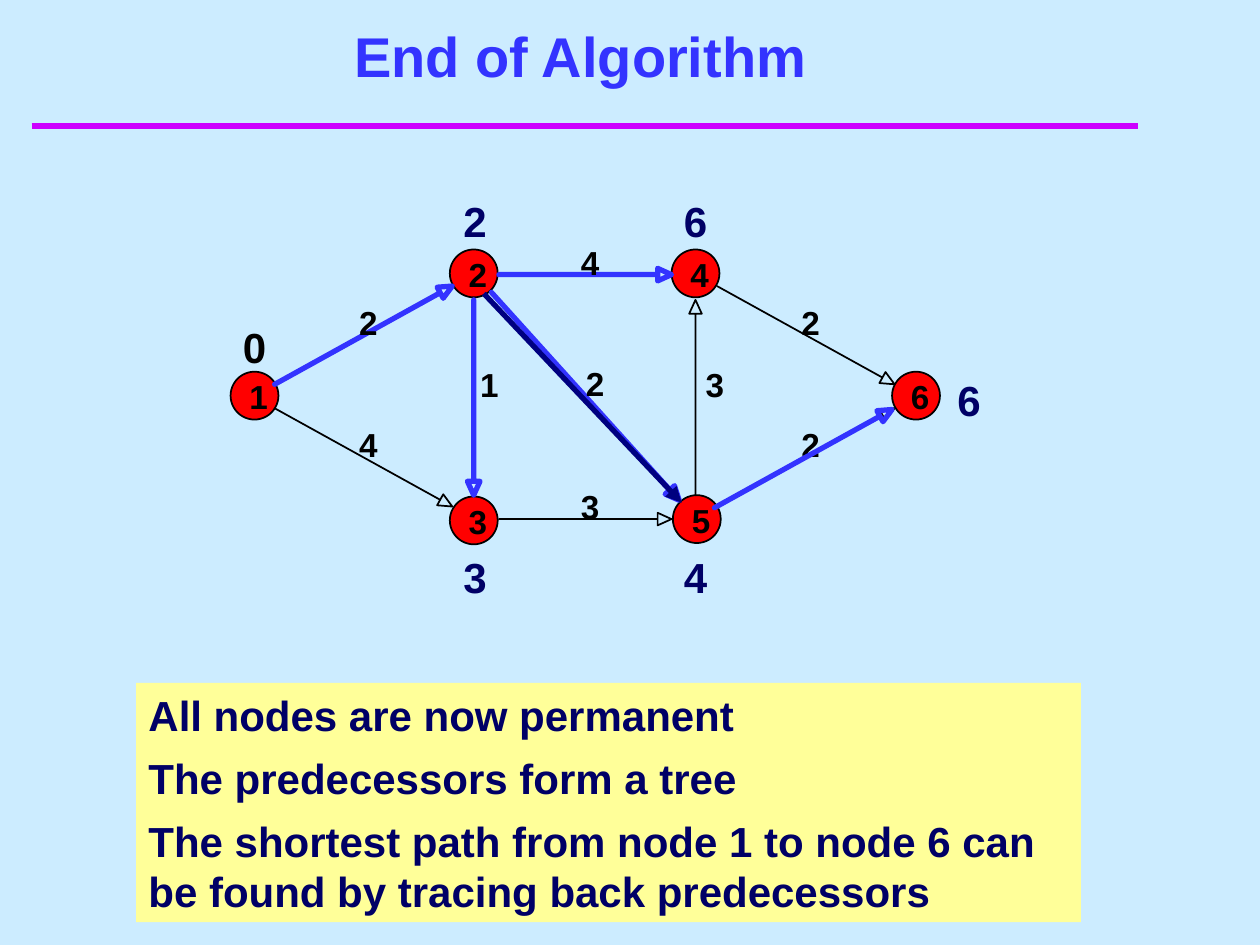
from math import hypot

from lxml.etree import SubElement
from pptx import Presentation
from pptx.dml.color import RGBColor
from pptx.enum.shapes import MSO_CONNECTOR as Link, MSO_SHAPE as Kind
from pptx.enum.text import MSO_ANCHOR as Anchor, PP_ALIGN as Align
from pptx.oxml.ns import qn
from pptx.util import Pt

PX = 9144  # 100 px to the inch
HEX = {
    "sky": "CCECFF", "blue": "3333FF", "pink": "CC00FF", "red": "FF0000",
    "black": "000000", "ink": "000066", "navy": "000080", "cream": "FFFF99",
}
DOT, HEAD, WING = 38, 11, 5

# number, centre, distance, distance place, distance colour
NODES = [
    ("1", (19, 164), "0", (0, 100), "black"),
    ("2", (193, 67), "2", (175, 0), "ink"),
    ("3", (193, 263), "3", (175, 283), "ink"),
    ("4", (369, 67), "6", (350, 0), "ink"),
    ("5", (370, 262), "4", (350, 283), "ink"),
    ("6", (544, 164), "6", (567, 142), "ink"),
]
# start, tip, weight, weight place, in the tree
EDGES = [
    ((35, 155), (176, 77), "2", (102, 90), True),
    ((213, 68), (350, 68), "4", (278, 42), True),
    ((207, 82), (356, 247), "2", (282, 138), True),
    ((193, 88), (193, 243), "1", (198, 139), True),
    ((213, 262), (350, 262), "3", (278, 236), False),
    ((35, 174), (176, 252), "4", (102, 187), False),
    ((386, 77), (527, 155), "2", (453, 90), False),
    ((369, 243), (369, 88), "3", (377, 139), False),
    ((386, 252), (527, 174), "2", (453, 187), False),
    ((384, 253), (525, 175), None, None, True),
]
NOTES = [
    ("All nodes are now permanent", 50),
    ("The predecessors form a tree", 50),
    ("The shortest path from node 1 to node 6 can be found by "
     "tracing back predecessors", 90),
]


def emu(*vals):
    return [round(v * PX) for v in vals]


def rgb(name):
    return RGBColor.from_string(HEX[name])


def write(frame, text, size, color, align=Align.LEFT, before=0):
    para = frame.paragraphs[0]
    para.text = text
    para.alignment = align
    para.space_before = Pt(before)
    font = para.font
    font.name, font.size, font.bold = "Arial", Pt(size), True
    font.color.rgb = rgb(color)


def label(slide, box, text, size, color, **style):
    frame = slide.shapes.add_textbox(*emu(*box)).text_frame
    frame.word_wrap = True
    write(frame, text, size, color, **style)
    return frame


def digit(slide, x, y, text):
    """Place a small black number in a tight box without margins."""
    frame = label(slide, (x, y, 15, 32), text, 19, "black")
    frame.word_wrap = False
    frame.margin_left = frame.margin_right = 0
    frame.margin_top = frame.margin_bottom = 0


def line(slide, start, end, color, width):
    link = slide.shapes.add_connector(Link.STRAIGHT, *emu(*start, *end))
    link.line.color.rgb = rgb(color)
    link.line.width = Pt(width)
    SubElement(link._element.spPr, qn("a:effectLst"))
    return link


def arrow(slide, start, tip, color, width):
    """Draw a shaft and an open triangular head as one outline."""
    (ax, ay), (bx, by) = start, tip
    size = hypot(bx - ax, by - ay)
    ux, uy = (bx - ax) / size, (by - ay) / size
    neck = nx, ny = bx - HEAD * ux, by - HEAD * uy
    left = nx - WING * uy, ny + WING * ux
    right = nx + WING * uy, ny - WING * ux
    pen = slide.shapes.build_freeform(*emu(ax, ay), scale=1)
    pen.add_line_segments([emu(*p) for p in (neck, left, tip, right, neck)])
    shape = pen.convert_to_shape()
    shape.shadow.inherit = False
    shape.fill.background()
    shape.line.color.rgb = rgb(color)
    shape.line.width = Pt(width)


def node(slide, x, y, text):
    dot = slide.shapes.add_shape(
        Kind.OVAL, *emu(x - DOT / 2, y - DOT / 2, DOT, DOT))
    dot.shadow.inherit = False
    dot.fill.solid()
    dot.fill.fore_color.rgb = rgb("red")
    dot.line.color.rgb = rgb("black")
    dot.line.width = Pt(1)
    digit(slide, x - 4, y - 15, text)


def graph(slide, left, top):
    def at(spot):
        return left + spot[0], top + spot[1]

    for name, spot, dist, place, color in NODES:
        node(slide, *at(spot), name)
        label(slide, (*at(place), 50, 50), dist, 24, color, before=15)
    for start, tip, cost, place, tree in EDGES:
        color, width = ("blue", 3) if tree else ("black", 1)
        arrow(slide, at(start), at(tip), color, width)
        if cost:
            digit(slide, *at(place), cost)
    last = line(slide, at((201, 83)), at((358, 249)), "navy", 3)
    SubElement(last.line._get_or_add_ln(), qn("a:tailEnd"), type="triangle")


def header(slide, left, top):
    line(slide, (left, top + 83), (left + 878, top + 83), "pink", 4)
    frame = label(slide, (left + 17, top, 850, 58), "End of Algorithm ",
                  32, "blue", align=Align.CENTER)
    frame.vertical_anchor = Anchor.BOTTOM


def notes(slide, left, top, width):
    for text, height in NOTES:
        box = slide.shapes.add_shape(
            Kind.RECTANGLE, *emu(left, top, width, height))
        box.shadow.inherit = False
        box.fill.solid()
        box.fill.fore_color.rgb = rgb("cream")
        box.line.fill.background()
        box.text_frame.word_wrap = True
        box.text_frame.vertical_anchor = Anchor.TOP
        write(box.text_frame, text, 24, "ink", before=15)
        top += height


def main():
    deck = Presentation()
    deck.slide_width, deck.slide_height = emu(1000, 750)
    slide = deck.slides.add_slide(deck.slide_layouts[6])
    slide.background.fill.solid()
    slide.background.fill.fore_color.rgb = rgb("sky")
    header(slide, 25, 17)
    graph(slide, 183, 150)
    notes(slide, 108, 542, 750)
    deck.save("out.pptx")


if __name__ == "__main__":
    main()
